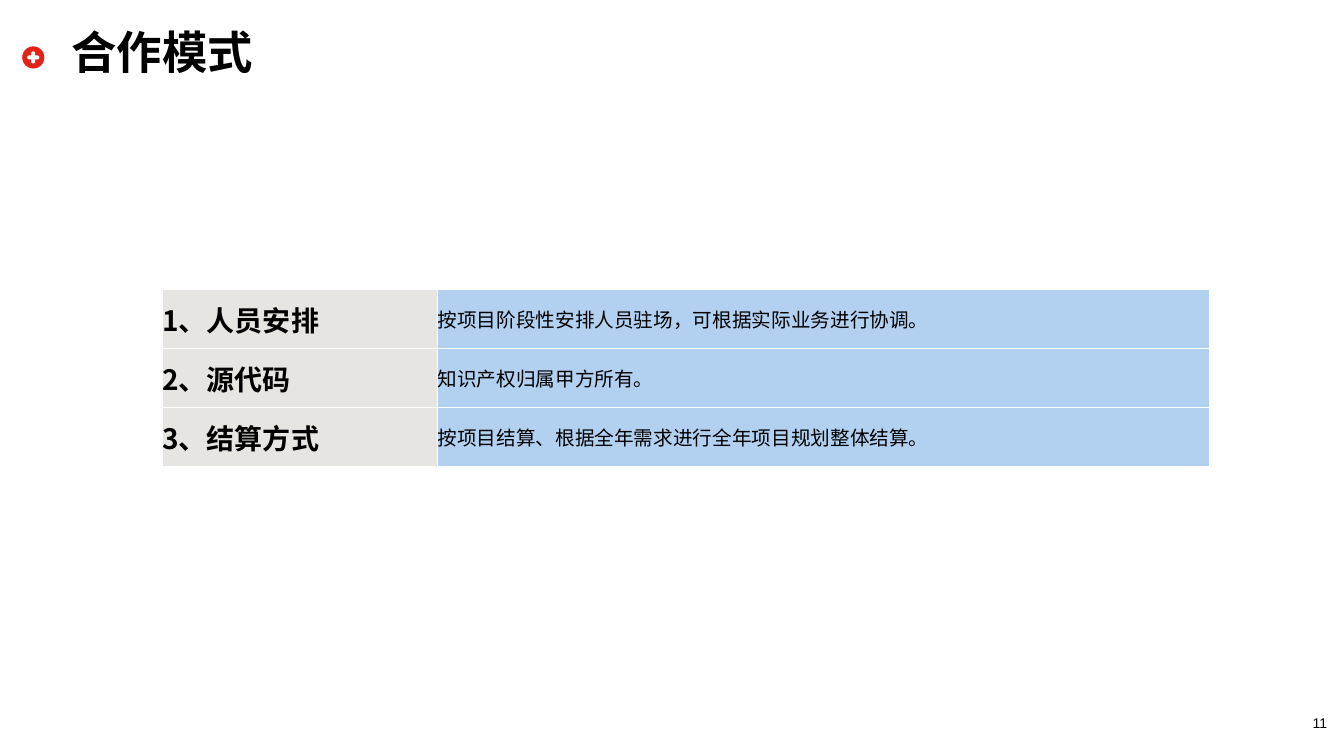
from dataclasses import dataclass

from lxml import etree
from pptx import Presentation
from pptx.dml.color import RGBColor
from pptx.enum.shapes import MSO_SHAPE
from pptx.enum.text import MSO_ANCHOR, MSO_AUTO_SIZE, PP_ALIGN
from pptx.oxml.ns import qn
from pptx.slide import Slide
from pptx.table import _Cell
from pptx.text.text import TextFrame
from pptx.util import Inches, Pt

OVAL = MSO_SHAPE.OVAL
ROUNDED = MSO_SHAPE.ROUNDED_RECTANGLE
MIDDLE, BOTTOM = MSO_ANCHOR.MIDDLE, MSO_ANCHOR.BOTTOM
LEFT, CENTER = PP_ALIGN.LEFT, PP_ALIGN.CENTER
NO_AUTOFIT = MSO_AUTO_SIZE.NONE
TITLE_ONLY = 5


@dataclass(frozen=True)
class Theme:
    text: str = "000000"
    white: str = "FFFFFF"
    red: str = "E2231A"
    label_fill: str = "E7E5E2"
    detail_fill: str = "B2D1F1"
    font: str = "Arial"
    label_font: str = "Noto Sans CJK SC"
    title_size: float = 32.4
    label_size: float = 20
    detail_size: float = 14
    number_size: float = 10
    border: float = 1


@dataclass(frozen=True)
class Box:
    left: float
    top: float
    width: float
    height: float

    def emu(self) -> tuple:
        return tuple(Inches(n) for n in (self.left, self.top, self.width, self.height))


@dataclass(frozen=True)
class IconPart:
    preset: MSO_SHAPE
    box: Box
    color: str


@dataclass(frozen=True)
class Column:
    width: float
    fill: str
    font: str
    size: float
    bold: bool


@dataclass(frozen=True)
class Term:
    label: str
    detail: str


THEME = Theme()
TITLE_BOX = Box(0.61, 0.26, 12.11, 0.57)
NUMBER_BOX = Box(12.85, 6.99, 0.48, 0.27)
TABLE_BOX = Box(1.61, 2.87, 10.39, 1.76)
PLUS_ICON = (
    IconPart(OVAL, Box(0.22, 0.46, 0.22, 0.22), THEME.red),
    IconPart(ROUNDED, Box(0.27, 0.55, 0.12, 0.04), THEME.white),
    IconPart(ROUNDED, Box(0.31, 0.51, 0.04, 0.12), THEME.white),
)
COLUMNS = (
    Column(2.73, THEME.label_fill, THEME.label_font, THEME.label_size, True),
    Column(7.66, THEME.detail_fill, THEME.font, THEME.detail_size, False),
)
TERMS = (
    Term("1、人员安排", "按项目阶段性安排人员驻场，可根据实际业务进行协调。"),
    Term("2、源代码", "知识产权归属甲方所有。"),
    Term("3、结算方式", "按项目结算、根据全年需求进行全年项目规划整体结算。"),
)


def write(frame: TextFrame, text: str, font: str, size: float,
          bold: bool = False, align: PP_ALIGN = LEFT) -> None:
    para = frame.paragraphs[0]
    para.text = text
    para.alignment = align
    para.font.name = font
    para.font.size = Pt(size)
    para.font.bold = bold
    para.font.color.rgb = RGBColor.from_string(THEME.text)


def clear_margins(target: TextFrame | _Cell) -> None:
    target.margin_left = target.margin_right = 0
    target.margin_top = target.margin_bottom = 0


def add_title(page: Slide, text: str) -> None:
    title = page.shapes.title
    title.left, title.top, title.width, title.height = TITLE_BOX.emu()
    frame = title.text_frame
    frame.auto_size = NO_AUTOFIT
    frame.vertical_anchor = BOTTOM
    write(frame, text, THEME.font, THEME.title_size, bold=True)


def add_icon_part(page: Slide, part: IconPart) -> None:
    shape = page.shapes.add_shape(part.preset, *part.box.emu())
    shape.shadow.inherit = False
    shape.fill.solid()
    shape.fill.fore_color.rgb = RGBColor.from_string(part.color)
    shape.line.fill.background()
    if part.preset == ROUNDED:
        shape.adjustments[0] = 0.5


def add_page_number(page: Slide, number: str) -> None:
    frame = page.shapes.add_textbox(*NUMBER_BOX.emu()).text_frame
    frame.word_wrap = True
    frame.vertical_anchor = BOTTOM
    clear_margins(frame)
    write(frame, number, THEME.font, THEME.number_size, align=CENTER)


def add_borders(cell: _Cell) -> None:
    properties = cell._tc.get_or_add_tcPr()
    for index, side in enumerate(("a:lnL", "a:lnR", "a:lnT", "a:lnB")):
        line = etree.Element(qn(side), w=str(Pt(THEME.border)))
        fill = etree.SubElement(line, qn("a:solidFill"))
        etree.SubElement(fill, qn("a:srgbClr"), val=THEME.white)
        properties.insert(index, line)


def fill_cell(cell: _Cell, text: str, column: Column) -> None:
    clear_margins(cell)
    cell.vertical_anchor = MIDDLE
    cell.fill.solid()
    cell.fill.fore_color.rgb = RGBColor.from_string(column.fill)
    write(cell.text_frame, text, column.font, column.size, column.bold)
    add_borders(cell)


def add_terms_table(page: Slide) -> None:
    table = page.shapes.add_table(len(TERMS), len(COLUMNS), *TABLE_BOX.emu()).table
    table.first_row = table.horz_banding = False
    for index, column in enumerate(COLUMNS):
        table.columns[index].width = Inches(column.width)
    for row, term in enumerate(TERMS):
        for index, text in enumerate((term.label, term.detail)):
            fill_cell(table.cell(row, index), text, COLUMNS[index])


def main() -> None:
    deck = Presentation()
    deck.slide_width, deck.slide_height = Inches(13.33), Inches(7.5)
    page = deck.slides.add_slide(deck.slide_layouts[TITLE_ONLY])
    for part in PLUS_ICON:
        add_icon_part(page, part)
    add_page_number(page, "11")
    add_title(page, "合作模式")
    add_terms_table(page)
    deck.save("out.pptx")


if __name__ == "__main__":
    main()
